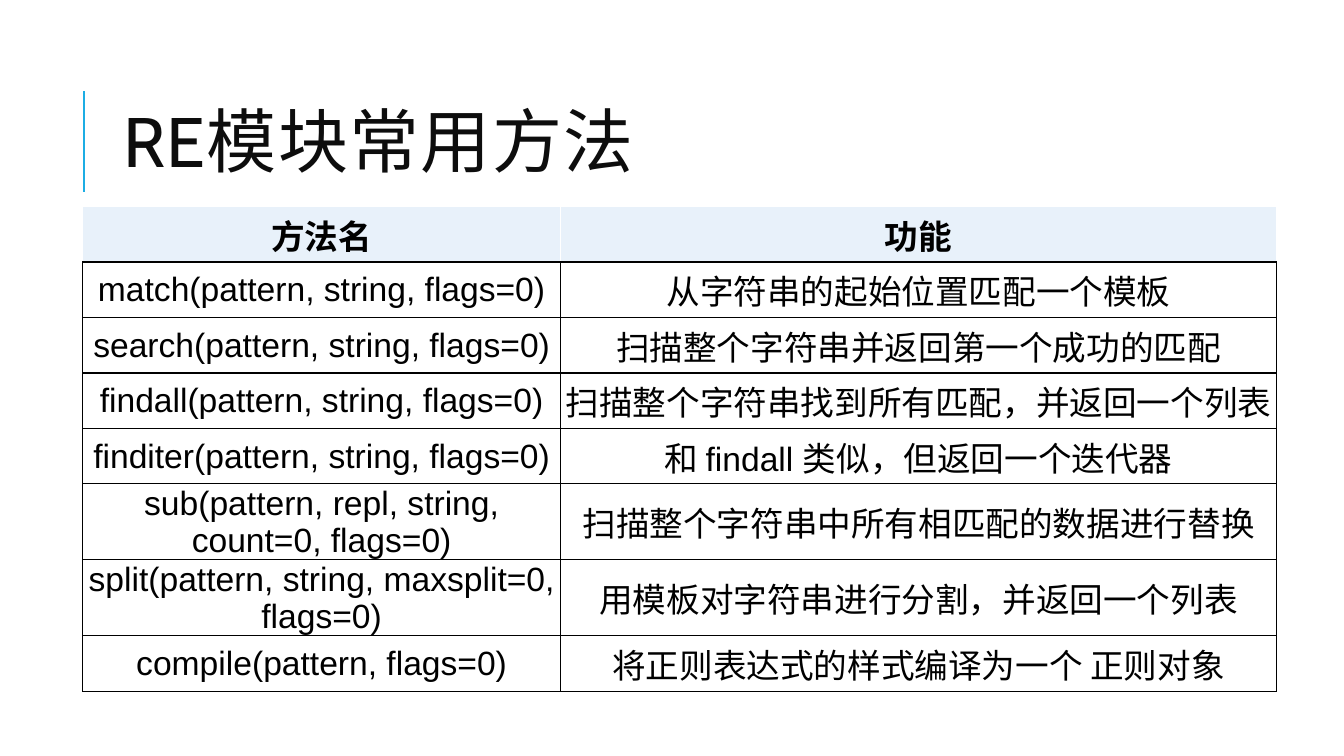
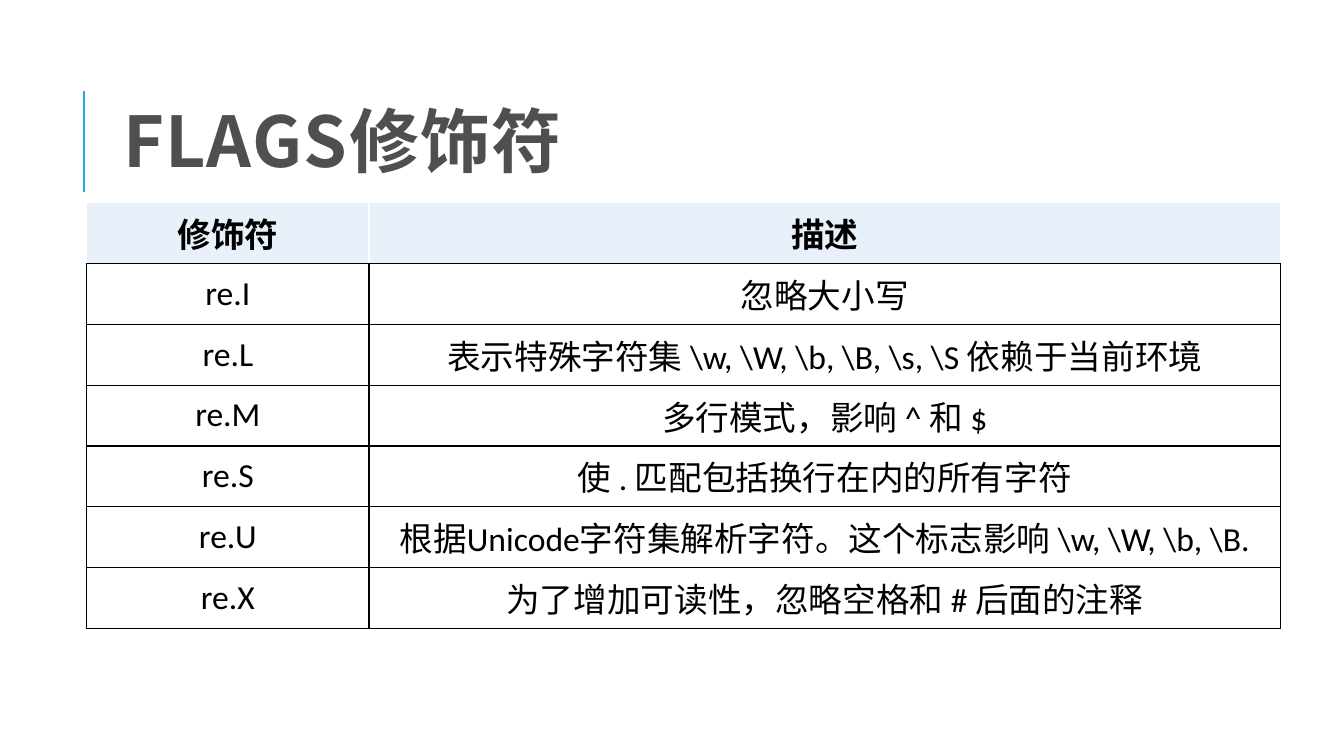
from lxml.etree import SubElement
from pptx import Presentation
from pptx.dml.color import RGBColor
from pptx.enum.shapes import MSO_CONNECTOR
from pptx.enum.text import MSO_ANCHOR, MSO_AUTO_SIZE, PP_ALIGN
from pptx.oxml.ns import qn
from pptx.util import Inches, Pt

ACCENT = RGBColor(0x1C, 0xAD, 0xE4)
BLACK = RGBColor(0, 0, 0)
WHITE = RGBColor(255, 255, 255)
PALE = RGBColor(0xE8, 0xF1, 0xFA)
INK = RGBColor(0x0D, 0x0D, 0x0D)
GREY = RGBColor(0x4F, 0x4F, 0x4F)
HAN = "Noto Sans CJK SC"
HEAD = "Calibri"
ROW = 0.55

SLIDES = [
    {
        "title": "RE模块常用方法", "face": "Cabin", "color": INK, "bold": False,
        "at": (0.82, 2.05), "cols": (4.74, 7.1),
        "insets": (0.01, 0.01, 0.01, 0), "font": "Arial",
        "rows": [
            ("方法名", "功能"),
            ("match(pattern, string, flags=0)", "从字符串的起始位置匹配一个模板"),
            ("search(pattern, string, flags=0)", "扫描整个字符串并返回第一个成功的匹配"),
            ("findall(pattern, string, flags=0)", "扫描整个字符串找到所有匹配，并返回一个列表"),
            ("finditer(pattern, string, flags=0)", "和 findall 类似，但返回一个迭代器"),
            ("sub(pattern, repl, string, count=0, flags=0)", "扫描整个字符串中所有相匹配的数据进行替换"),
            ("split(pattern, string, maxsplit=0, flags=0)", "用模板对字符串进行分割，并返回一个列表"),
            ("compile(pattern, flags=0)", "将正则表达式的样式编译为一个 正则对象"),
        ],
    },
    {
        "title": "FLAGS修饰符", "face": HAN, "color": GREY, "bold": True,
        "at": (0.86, 2.01), "cols": (2.8, 9.04),
        "insets": (0.1, 0.06, 0.1, 0.06), "font": "Calibri",
        "rows": [
            ("修饰符", "描述"),
            ("re.I", "忽略大小写"),
            ("re.L", r"表示特殊字符集 \w, \W, \b, \B, \s, \S 依赖于当前环境"),
            ("re.M", "多行模式，影响 ^ 和 $"),
            ("re.S", "使 . 匹配包括换行在内的所有字符"),
            ("re.U", r"根据Unicode字符集解析字符。这个标志影响 \w, \W, \b, \B."),
            ("re.X", "为了增加可读性，忽略空格和 # 后面的注释"),
        ],
    },
]


def add_run(para, text, face, size, color, bold):
    run = para.add_run()
    run.text = text
    font = run.font
    font.name, font.size, font.bold = face, Pt(size), bold
    font.color.rgb = color
    SubElement(run._r.rPr, qn("a:ea"), typeface=HAN)
    return run


def add_title(slide, data):
    line = slide.shapes.add_connector(
        MSO_CONNECTOR.STRAIGHT, Inches(0.83), Inches(1.9), Inches(0.83), Inches(0.9))
    line.line.color.rgb = ACCENT
    line.line.width = Pt(1.5)
    SubElement(line._element.spPr, qn("a:effectLst"))

    title = slide.shapes.title
    title.left, title.top = Inches(1.12), Inches(0.64)
    title.width, title.height = Inches(10.63), Inches(1.64)
    frame = title.text_frame
    frame.auto_size = MSO_AUTO_SIZE.NONE
    frame.vertical_anchor = MSO_ANCHOR.MIDDLE
    para = frame.paragraphs[0]
    para.alignment = PP_ALIGN.LEFT
    para.line_spacing = 0.8
    run = add_run(para, data["title"], data["face"], 50, data["color"], data["bold"])
    run._r.rPr.set("spc", "100")


def add_edges(cell, colors):
    props = cell._tc.get_or_add_tcPr()
    for side, color in zip("LRTB", colors):
        edge = SubElement(props, qn(f"a:ln{side}"), w=str(Pt(1)))
        fill = SubElement(edge, qn("a:solidFill"))
        SubElement(fill, qn("a:srgbClr"), val=str(color))


def fill_cell(cell, text, head, data):
    add_edges(cell, (WHITE, WHITE, WHITE, BLACK) if head else (BLACK,) * 4)
    cell.fill.solid()
    cell.fill.fore_color.rgb = PALE if head else WHITE
    cell.vertical_anchor = MSO_ANCHOR.MIDDLE
    (cell.margin_left, cell.margin_top,
     cell.margin_right, cell.margin_bottom) = map(Inches, data["insets"])
    para = cell.text_frame.paragraphs[0]
    para.alignment = PP_ALIGN.CENTER
    add_run(para, text, HEAD if head else data["font"], 24, BLACK, head)


def add_grid(slide, data):
    rows, cols = data["rows"], data["cols"]
    left, top = map(Inches, data["at"])
    table = slide.shapes.add_table(
        len(rows), len(cols), left, top,
        Inches(sum(cols)), Inches(ROW * len(rows))).table
    table.first_row = table.horz_banding = False
    for col, width in zip(table.columns, cols):
        col.width = Inches(width)
    for r, texts in enumerate(rows):
        table.rows[r].height = Inches(ROW)
        for c, text in enumerate(texts):
            fill_cell(table.cell(r, c), text, r == 0, data)


def main():
    deck = Presentation()
    deck.slide_width, deck.slide_height = Inches(13.33), Inches(7.5)
    for data in SLIDES:
        slide = deck.slides.add_slide(deck.slide_layouts[5])
        add_title(slide, data)
        add_grid(slide, data)
    deck.save("out.pptx")


if __name__ == "__main__":
    main()
